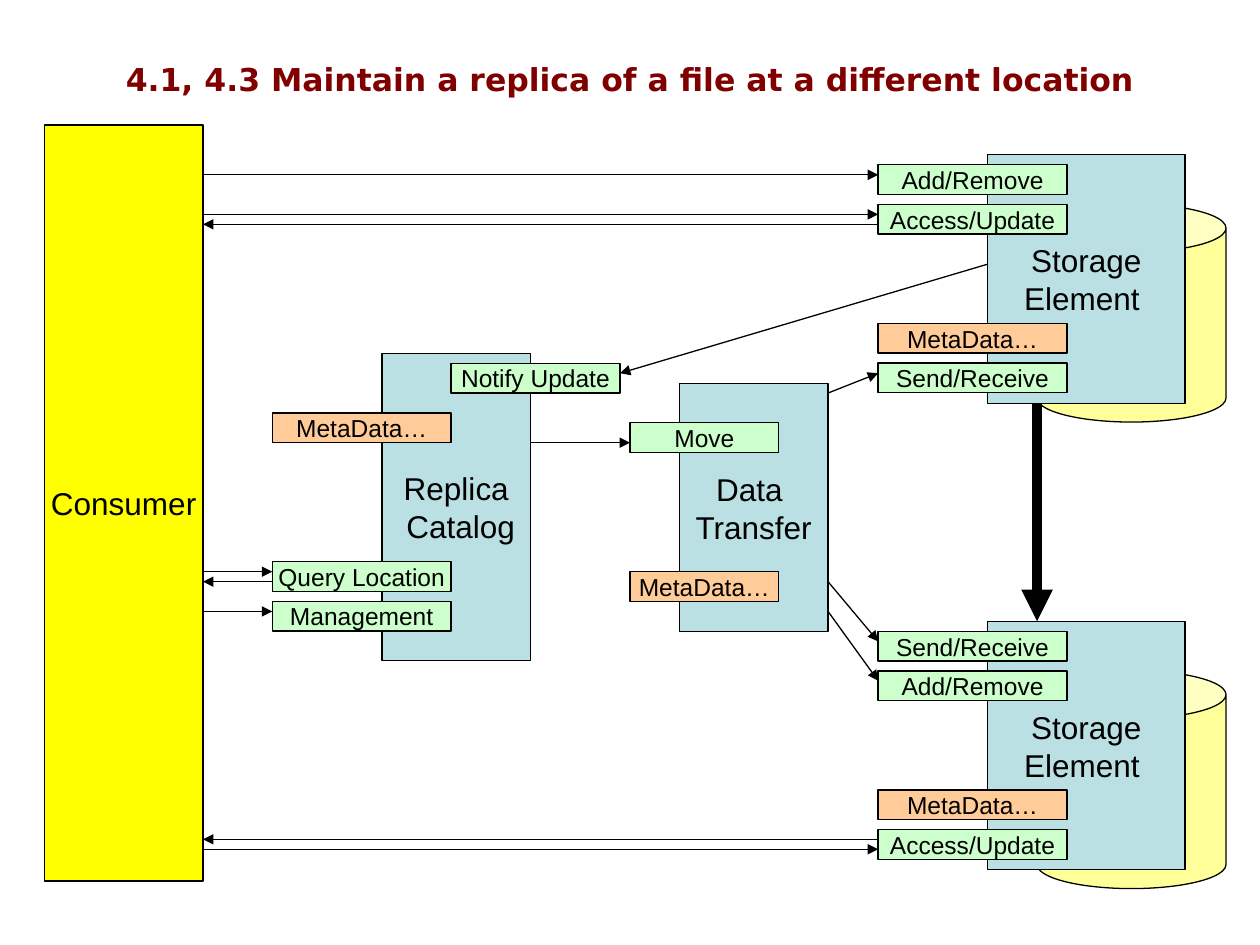
from dataclasses import dataclass

from lxml import etree
from pptx import Presentation
from pptx.dml.color import RGBColor
from pptx.enum.shapes import MSO_CONNECTOR, MSO_SHAPE
from pptx.enum.text import MSO_ANCHOR, PP_ALIGN
from pptx.oxml.ns import qn
from pptx.util import Pt

RECTANGLE, CAN = MSO_SHAPE.RECTANGLE, MSO_SHAPE.CAN
STRAIGHT = MSO_CONNECTOR.STRAIGHT
MIDDLE, CENTER = MSO_ANCHOR.MIDDLE, PP_ALIGN.CENTER


@dataclass(frozen=True)
class Theme:
    title: str = "800000"
    ink: str = "000000"
    consumer: str = "FFFF00"
    component: str = "BBE0E3"
    service: str = "CCFFCC"
    metadata: str = "FFCC99"
    disk: str = "FFFF99"
    title_font: str = "DejaVu Sans"
    body_font: str = "Arial"
    large: int = 18
    small: int = 14
    thin: float = 0.75
    thick: float = 6


THEME = Theme()
METADATA = "MetaData…"
PORT_HEIGHT = 17

CONSUMER_RIGHT = 116
CATALOG_LEFT, CATALOG_WIDTH = 218.2, 85
CATALOG_RIGHT = CATALOG_LEFT + CATALOG_WIDTH
CATALOG_PORT_LEFT, CATALOG_PORT_WIDTH = 155.6, 102.2
NOTIFY_LEFT, NOTIFY_WIDTH = 257.8, 96.5
TRANSFER_LEFT, TRANSFER_WIDTH = 388.2, 85
TRANSFER_RIGHT = TRANSFER_LEFT + TRANSFER_WIDTH
TRANSFER_PORT_LEFT = 360
STORAGE_LEFT, STORAGE_WIDTH, STORAGE_HEIGHT = 564.3, 113, 142
STORAGE_PORT_LEFT, STORAGE_PORT_WIDTH = 501.8, 108
DISK_LEFT = 592.6
STORAGE_TOP, REPLICA_STORAGE_TOP = 88.4, 355


def write_text(frame, text, *, size, font=THEME.body_font, color=THEME.ink,
               bold=False, wrap=False):
    frame.word_wrap = wrap
    frame.vertical_anchor = MIDDLE
    for index, line in enumerate(text.split("\n")):
        para = frame.paragraphs[0] if index == 0 else frame.add_paragraph()
        para.alignment = CENTER
        span = para.add_run()
        span.text = line
        span.font.size = Pt(size)
        span.font.name = font
        span.font.bold = bold
        span.font.color.rgb = RGBColor.from_string(color)


def add_title(page, text):
    box = page.shapes.add_textbox(Pt(0), Pt(0), Pt(720), Pt(90))
    write_text(box.text_frame, text, size=THEME.large, font=THEME.title_font,
               color=THEME.title, bold=True, wrap=True)


def add_outlined(page, kind, left, top, width, height, fill):
    shape = page.shapes.add_shape(kind, Pt(left), Pt(top), Pt(width), Pt(height))
    shape.shadow.inherit = False
    shape.fill.solid()
    shape.fill.fore_color.rgb = RGBColor.from_string(fill)
    shape.line.color.rgb = RGBColor.from_string(THEME.ink)
    shape.line.width = Pt(THEME.thin)
    return shape


def add_component(page, text, left, top, width, height, fill=THEME.component):
    box = add_outlined(page, RECTANGLE, left, top, width, height, fill)
    write_text(box.text_frame, text, size=THEME.large)


def add_port(page, text, left, top, width):
    """Add a small interface label that overlaps the side of a component."""
    fill = THEME.metadata if text == METADATA else THEME.service
    box = add_outlined(page, RECTANGLE, left, top, width, PORT_HEIGHT, fill)
    write_text(box.text_frame, text, size=THEME.small)


def add_storage(page, top, ports):
    """Add a storage element with its disk; ports maps labels to offsets from top."""
    disk = add_outlined(page, CAN, DISK_LEFT, top + 28.2, 108, 124.6, THEME.disk)
    disk.adjustments[0] = 0.255
    add_component(page, "Storage\nElement ", STORAGE_LEFT, top,
                  STORAGE_WIDTH, STORAGE_HEIGHT)
    for text, offset in ports.items():
        add_port(page, text, STORAGE_PORT_LEFT, top + offset, STORAGE_PORT_WIDTH)


def add_arrow(page, start_x, start_y, end_x, end_y, width=THEME.thin):
    arrow = page.shapes.add_connector(STRAIGHT, Pt(start_x), Pt(start_y),
                                      Pt(end_x), Pt(end_y))
    arrow.line.color.rgb = RGBColor.from_string(THEME.ink)
    arrow.line.width = Pt(width)
    etree.SubElement(arrow.line._get_or_add_ln(), qn("a:tailEnd"), type="triangle")
    etree.SubElement(arrow._element.spPr, qn("a:effectLst"))


def add_components(page):
    add_component(page, "Consumer", 25.4, 71.4, CONSUMER_RIGHT - 25.4, 432,
                  THEME.consumer)

    add_component(page, "Replica\n Catalog", CATALOG_LEFT, 202, CATALOG_WIDTH, 175.7)
    for text, top in ((METADATA, 236), ("Query Location", 321), ("Management", 343.6)):
        add_port(page, text, CATALOG_PORT_LEFT, top, CATALOG_PORT_WIDTH)
    add_port(page, "Notify Update", NOTIFY_LEFT, 207.6, NOTIFY_WIDTH)

    add_component(page, "Data \nTransfer", TRANSFER_LEFT, 219, TRANSFER_WIDTH, 142)
    for text, top in (("Move", 241.6), (METADATA, 326.6)):
        add_port(page, text, TRANSFER_PORT_LEFT, top, TRANSFER_WIDTH)

    add_storage(page, STORAGE_TOP, {
        "Add/Remove": 5.8, "Access/Update": 28.4, METADATA: 96.4, "Send/Receive": 119})
    add_storage(page, REPLICA_STORAGE_TOP, {
        "Send/Receive": 5.8, "Add/Remove": 28.4, METADATA: 96.4, "Access/Update": 119})


def add_arrows(page):
    for y in (99.9, 122.5, 485.3):
        add_arrow(page, CONSUMER_RIGHT, y, STORAGE_PORT_LEFT, y)
    for y in (128.2, 479.6):
        add_arrow(page, STORAGE_PORT_LEFT, y, CONSUMER_RIGHT, y)
    for y in (326.7, 349.4):
        add_arrow(page, CONSUMER_RIGHT, y, CATALOG_PORT_LEFT, y)
    add_arrow(page, CATALOG_PORT_LEFT, 332.4, CONSUMER_RIGHT, 332.4)
    add_arrow(page, CATALOG_RIGHT, 253, TRANSFER_PORT_LEFT, 253)
    add_arrow(page, STORAGE_LEFT, 151, NOTIFY_LEFT + NOTIFY_WIDTH, 213.3)
    for start_y, end_y in ((224.6, 213.3), (332.4, 366.5), (349.4, 389)):
        add_arrow(page, TRANSFER_RIGHT, start_y, STORAGE_PORT_LEFT, end_y)
    add_arrow(page, DISK_LEFT, STORAGE_TOP + STORAGE_HEIGHT,
              DISK_LEFT, REPLICA_STORAGE_TOP, THEME.thick)


def main():
    deck = Presentation()
    deck.slide_width, deck.slide_height = Pt(720), Pt(540)
    page = deck.slides.add_slide(deck.slide_layouts[6])
    add_title(page, "4.1, 4.3 Maintain a replica of a file at a different location")
    add_components(page)
    add_arrows(page)
    deck.save("out.pptx")


if __name__ == "__main__":
    main()
